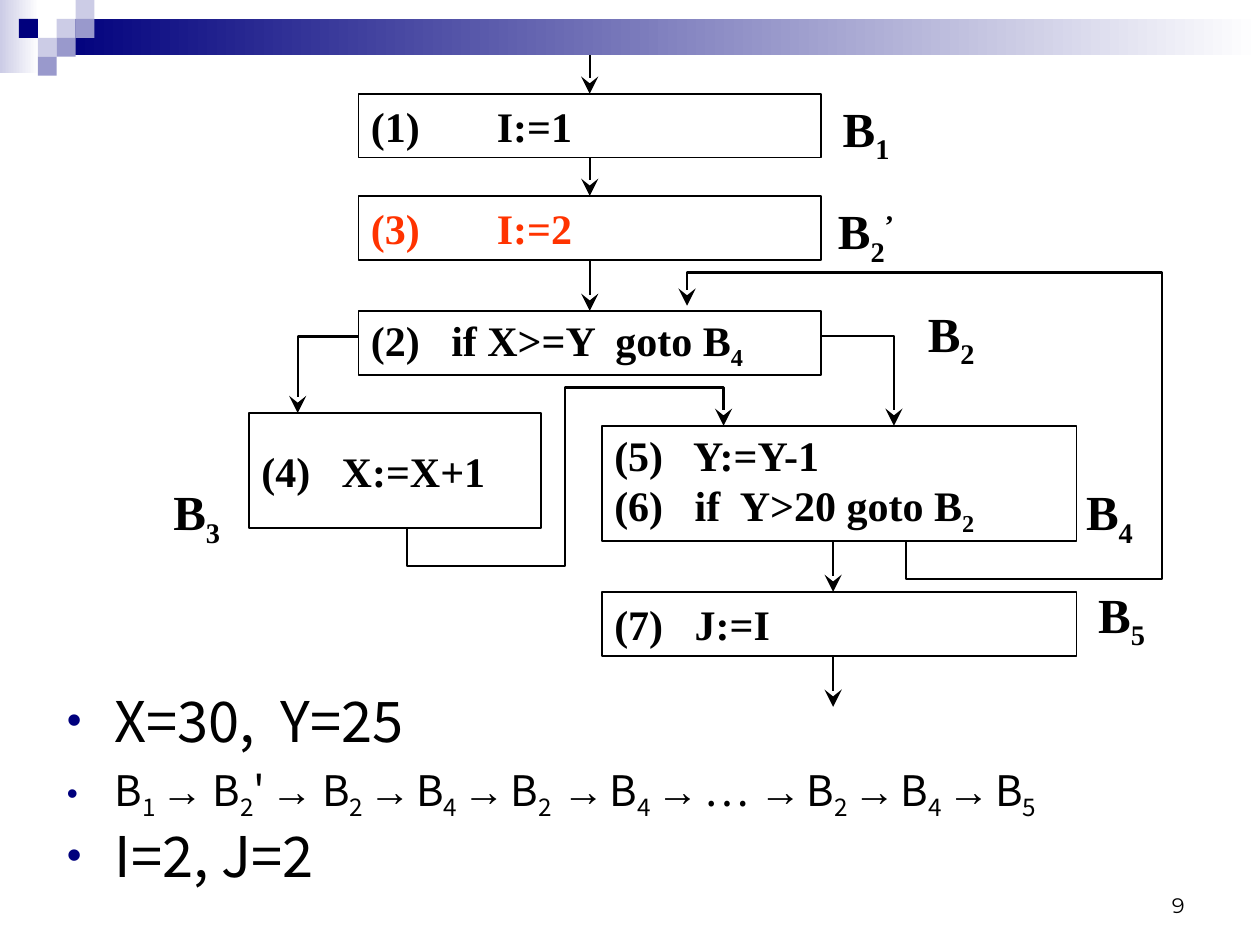
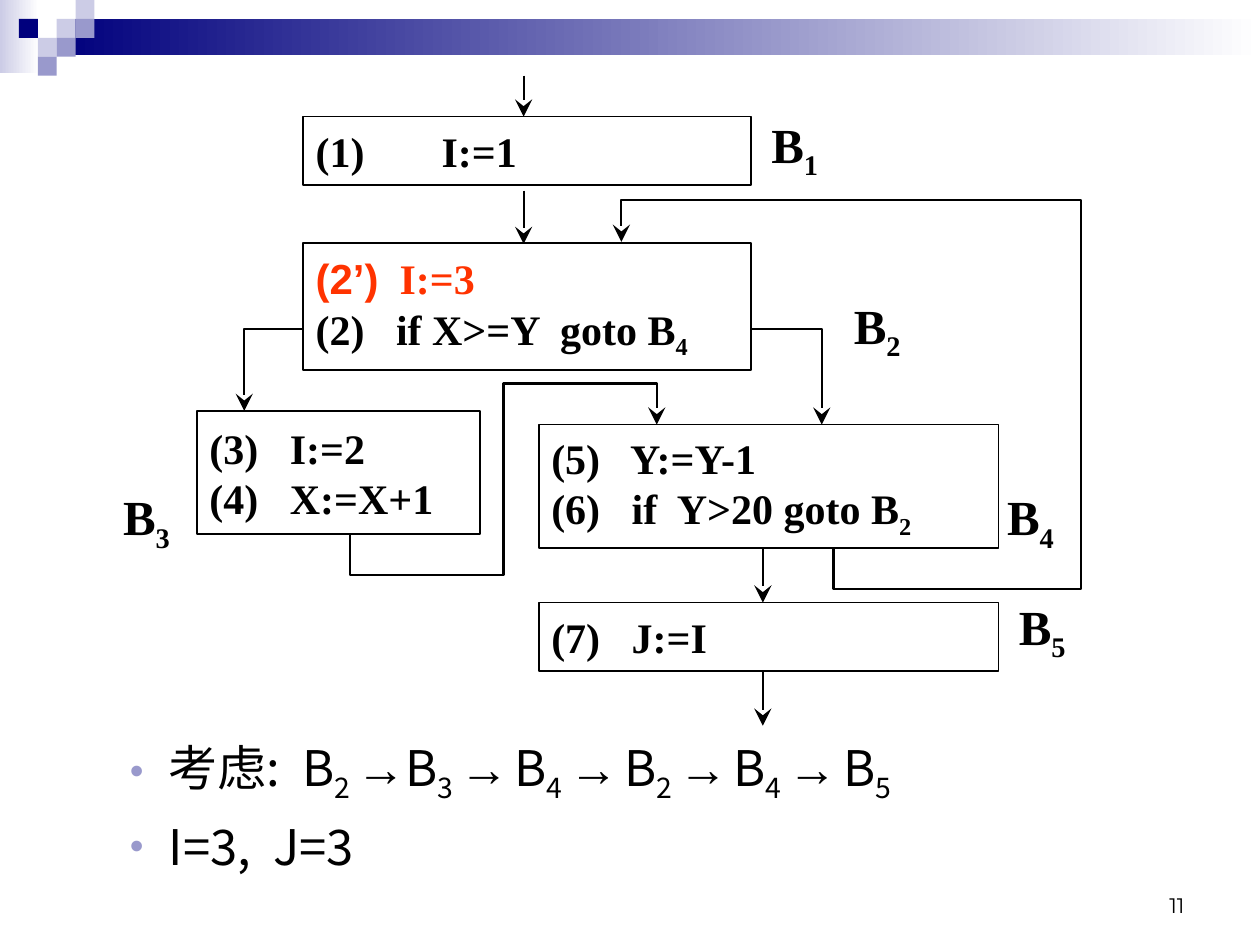
from lxml.etree import SubElement
from pptx import Presentation
from pptx.dml.color import RGBColor
from pptx.enum.shapes import MSO_CONNECTOR as CONN, MSO_SHAPE as SHAPE
from pptx.enum.text import MSO_ANCHOR as ANCHOR, MSO_AUTO_SIZE as AUTO, PP_ALIGN as ALIGN
from pptx.oxml.ns import qn
from pptx.util import Inches, Pt

COLORS = {"black": "000000", "red": "FF3300", "white": "FFFFFF",
          "navy": "00007D", "mid": "9999CC", "pale": "CCCCE6"}
SERIF, SANS, ARROW_FONT, NUMBER_FONT = "Times New Roman", "Noto Sans CJK SC", "Arial", "Montserrat"
CODE = {"size": Pt(24), "name": SERIF, "bold": True}
LABEL = {"size": Pt(28), "name": SERIF, "bold": True}
BASELINE = {"_": -25000, "^": 30000}

BANDS = [(0, 0, 0.31, 0.58, "pale"), (0.45, 0.15, 9.55, 0.29, "navy")]
TILE = 0.15
TILES = [(3, 1, "pale"), (4, 0, "pale"), (4, 1, "mid"), (2, 2, "pale"),
         (1, 1, "navy"), (3, 2, "mid"), (2, 3, "mid")]

COLS = 82
LOWER_BOXES = [
    (36, 1, 39, 9, ["(5)   Y:=Y-1", "(6)   if  Y>20 goto B_2"]),
    (36, 14, 39, 5, ["(7)   J:=I"]),
]
LOWER_LABELS = [(0, 5, "B_3"), (75, 5, "B_4"), (76, 13, "B_5")]
LOWER_ARROWS = [(55, 10, 14), (55, 19, 23)]
LOWER_PATHS = [
    [(16, -6), (11, -6), (11, 0)],
    [(54, -6), (60, -6), (60, 1)],
    [(20, 9), (20, 12), (33, 12), (33, -2), (46, -2), (46, 1)],
]

SLIDES = [
    {"number": "9", "left": 1.3, "top": 0.44, "width": 7.92, "height": 5.17, "rows": 51, "lower": 28,
     "boxes": [(16, 3, 38, 5, ["(1)\tI:=1"]),
               (16, 11, 38, 5, [[("(3)\tI:=2", "red", SERIF)]]),
               (16, 20, 38, 5, ["(2)   if X>=Y  goto B_4"])],
     "b3": ["(4)   X:=X+1"],
     "labels": [(55, 3, "B_1"), (55, 11, "B_2^’"), (62, 19, "B_2")],
     "arrows": [(35, 0, 3), (35, 8, 11), (35, 16, 20)],
     "loop": (17, 19.6),
     "body": (0.43, 5.4, 9.57, 1.86), "indent": (0.38, -0.38), "level": 0, "bullet": ("navy", 75),
     "lines": [("X=30,  Y=25", 32, 0),
               ("B_1 → B_2'_ → B_2 →_ B_4 →_ B_2  →_ B_4 →_ …_  →_ B_2 →_ B_4 →_ B_5", 24, 6),
               ("I=2, J=2", 32, 0)]},
    {"number": "11", "left": 0.91, "top": 0.6, "width": 7.67, "height": 5.16, "rows": 47.5, "lower": 24.5,
     "boxes": [(16, 3, 38, 5, ["(1)\tI:=1"]),
               (16, 12.25, 38, 9.25, [[("(2’)", "red", "Arial"), ("  I:=3", "red", SERIF)],
                                      "(2)   if X>=Y  goto B_4"])],
     "b3": ["(3)   I:=2", "(4)   X:=X+1"],
     "labels": [(55, 2.25, "B_1"), (62, 15.5, "B_2")],
     "arrows": [(34.7, 0, 3), (34.7, 8.4, 12.3)],
     "loop": (9.1, 12.15),
     "body": (0.43, 5.8, 8.5, 1.33), "indent": (0.81, -0.31), "level": 1, "bullet": ("mid", 80),
     "lines": [("考虑:  B_2 →B_3 →_ B_4 →_ B_2 →_ B_4 →_ B_5", 28, 0),
               ("I=3,  J=3", 28, 7)]},
]


def rgb(name):
    return RGBColor.from_string(COLORS[name])


def split_runs(text):
    runs, base = [], 0
    for c in text:
        if c in BASELINE:
            base = BASELINE[c]
            continue
        if base and not (c.isdigit() or c in " ’"):
            base = 0
        arrow = c == "→"
        if runs and runs[-1][1:] == (base, arrow):
            runs[-1] = (runs[-1][0] + c, base, arrow)
        else:
            runs.append((c, base, arrow))
    return runs


def write(p, text, fmt, color="black"):
    for part, base, arrow in split_runs(text):
        r = p.add_run()
        r.text = part
        for key, value in fmt.items():
            setattr(r.font, key, value)
        if arrow:
            r.font.name = ARROW_FONT
        r.font.color.rgb = rgb(color)
        rPr = r.font._element
        SubElement(rPr, qn("a:ea"), typeface=r.font.name)
        if base:
            rPr.set("baseline", str(base))


def paragraphs(tf, lines):
    for i, line in enumerate(lines):
        yield (tf.paragraphs[0] if i == 0 else tf.add_paragraph()), line


def stroke(sp, width, arrow=False):
    sp.line.color.rgb = rgb("black")
    sp.line.width = Pt(width)
    if arrow:
        SubElement(sp.element.spPr.get_or_add_ln(), qn("a:tailEnd"), type="stealth", w="lg", len="lg")


def add_master_art(s, master):
    squares = [(n * TILE, m * TILE, TILE, TILE, c) for n, m, c in TILES]
    for i, (x, y, w, h, color) in enumerate(BANDS + squares):
        sp = s.shapes.add_shape(SHAPE.RECTANGLE, *map(Inches, (x, y, w, h)))
        sp.shadow.inherit = False
        sp.line.fill.background()
        if i < len(BANDS):
            sp.fill.gradient()
            sp.fill.gradient_angle = 0
            for stop, name in zip(sp.fill.gradient_stops, (color, "white")):
                stop.color.rgb = rgb(name)
        else:
            sp.fill.solid()
            sp.fill.fore_color.rgb = rgb(color)
        master.shapes.element.insert(2 + i, sp.element)


def add_flow(s, d):
    col, row, low = d["width"] / COLS, d["height"] / d["rows"], d["lower"]

    def at(c, r):
        return Inches(d["left"] + c * col), Inches(d["top"] + r * row)

    def size(c, r):
        return Inches(c * col), Inches(r * row)

    lower_boxes = [(7, 0, 24, 9, d["b3"])] + LOWER_BOXES
    boxes = d["boxes"] + [(c, r + low, w, h, t) for c, r, w, h, t in lower_boxes]
    labels = d["labels"] + [(c, r + low, t) for c, r, t in LOWER_LABELS]
    arrows = d["arrows"] + [(c, a + low, b + low) for c, a, b in LOWER_ARROWS]
    paths = [[(c, r + low) for c, r in path] for path in LOWER_PATHS]
    top, end = d["loop"]
    paths.append([(61, low + 10), (61, low + 13), (82, low + 13), (82, top), (43, top), (43, end)])

    for c, r, w, h, lines in boxes:
        sp = s.shapes.add_shape(SHAPE.RECTANGLE, *at(c, r), *size(w, h))
        sp.shadow.inherit = False
        sp.fill.background()
        stroke(sp, 1)
        tf = sp.text_frame
        tf.word_wrap, tf.vertical_anchor = False, ANCHOR.MIDDLE
        for p, line in paragraphs(tf, lines):
            p.alignment = ALIGN.LEFT
            tabs = SubElement(p._p.get_or_add_pPr(), qn("a:tabLst"))
            SubElement(tabs, qn("a:tab"), pos=str(Inches(1)), algn="l")
            for text, color, font in [(line, "black", SERIF)] if isinstance(line, str) else line:
                write(p, text, {**CODE, "name": font}, color)
    for c, r, text in labels:
        tf = s.shapes.add_textbox(*at(c, r), *size(5.4, 6)).text_frame
        tf.word_wrap, tf.vertical_anchor = False, ANCHOR.MIDDLE
        tf.margin_left = tf.margin_right = 0
        tf.paragraphs[0].alignment = ALIGN.CENTER
        write(tf.paragraphs[0], text, LABEL)
    for c, a, b in arrows:
        line = s.shapes.add_connector(CONN.STRAIGHT, *at(c, a), *at(c, b))
        stroke(line, 1.25, True)
        SubElement(line.element.spPr, qn("a:effectLst"))
    for path in paths:
        start, *rest = [at(c, r) for c, r in path]
        fb = s.shapes.build_freeform(*start)
        fb.add_line_segments(rest, close=False)
        sp = fb.convert_to_shape()
        sp.shadow.inherit = False
        sp.fill.background()
        stroke(sp, 1.25, True)


def add_body(s, d):
    body = s.placeholders[1]
    body.left, body.top, body.width, body.height = map(Inches, d["body"])
    tf = body.text_frame
    tf.auto_size, tf.word_wrap = AUTO.NONE, True
    color, percent = d["bullet"]
    margin, indent = d["indent"]
    for p, (text, size, before) in paragraphs(tf, d["lines"]):
        p.level = d["level"]
        p.space_before = Pt(before)
        pPr = p._p.get_or_add_pPr()
        pPr.set("marL", str(Inches(margin)))
        pPr.set("indent", str(Inches(indent)))
        SubElement(SubElement(pPr, qn("a:buClr")), qn("a:srgbClr"), val=COLORS[color])
        SubElement(pPr, qn("a:buSzPct"), val=str(percent * 1000))
        SubElement(pPr, qn("a:buFont"), typeface="Arial")
        SubElement(pPr, qn("a:buChar"), char="•")
        write(p, text, {"size": Pt(size), "name": SANS})


def add_number(s, text):
    tf = s.shapes.add_textbox(*map(Inches, (7.17, 6.83, 2.33, 0.5))).text_frame
    tf.word_wrap, tf.vertical_anchor = True, ANCHOR.BOTTOM
    tf.paragraphs[0].alignment = ALIGN.RIGHT
    write(tf.paragraphs[0], text, {"size": Pt(12), "name": NUMBER_FONT})


def main():
    prs = Presentation()
    prs.slide_width, prs.slide_height = Inches(10), Inches(7.5)
    for i, d in enumerate(SLIDES):
        s = prs.slides.add_slide(prs.slide_layouts[1])
        title = s.shapes.title.element
        title.getparent().remove(title)
        if i == 0:
            add_master_art(s, prs.slide_master)
        add_number(s, d["number"])
        add_flow(s, d)
        add_body(s, d)
    prs.save("out.pptx")


if __name__ == "__main__":
    main()
